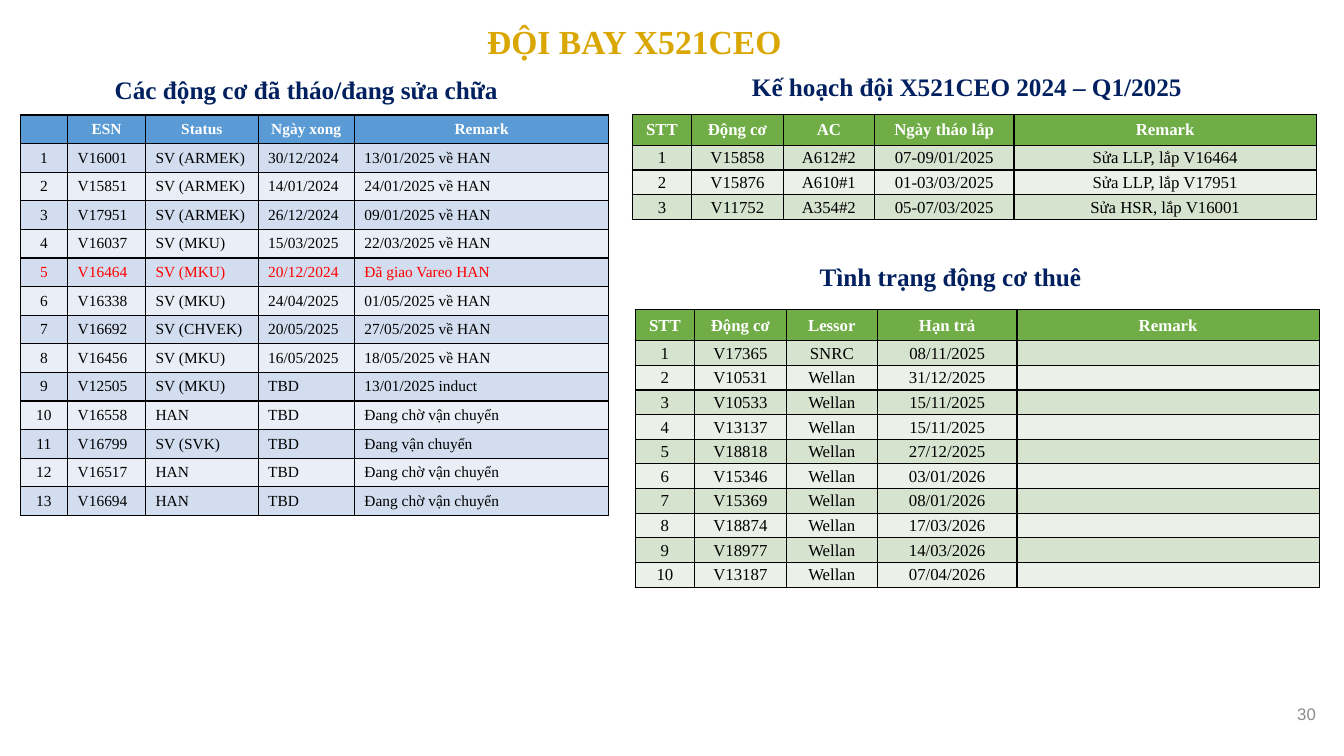
from dataclasses import dataclass

from lxml.etree import SubElement
from pptx import Presentation
from pptx.dml.color import RGBColor
from pptx.enum.text import MSO_ANCHOR as Anchor, MSO_AUTO_SIZE as AutoSize, PP_ALIGN as Align
from pptx.oxml.ns import qn
from pptx.util import Emu, Inches, Pt

SERIF, SANS = "Times New Roman", "Arial"
GOLD, NAVY, GREY = "DAA600", "002060", "8C8C8C"
BLACK, WHITE, RED = "000000", "FFFFFF", "FF0000"
SLIDE_WIDTH, SLIDE_HEIGHT = Inches(13.33), Inches(7.5)


def across(percent: float) -> Emu:
    """Share of the slide's width."""
    return Emu(round(SLIDE_WIDTH * percent / 100))


def down(percent: float) -> Emu:
    """Share of the slide's height."""
    return Emu(round(SLIDE_HEIGHT * percent / 100))


def colour(hex_code: str) -> RGBColor:
    return RGBColor.from_string(hex_code)


@dataclass
class Label:
    text: str
    left: float
    top: float
    width: float
    height: float
    size: int = 18
    ink: str = NAVY
    font: str = SERIF
    bold: bool = True
    align: Align = Align.LEFT
    anchor: Anchor = Anchor.TOP
    wrap: bool = False
    fit: AutoSize = AutoSize.SHAPE_TO_FIT_TEXT
    padding: float = 0.05


@dataclass
class Palette:
    header: str
    odd: str
    even: str


@dataclass
class EngineTable:
    left: float
    top: float
    columns: list[float]
    header_height: float
    row_height: float
    header: list[str]
    engines: list[list[str]]
    palette: Palette
    size: int
    centred: bool = True
    tight: bool = True
    delivered: int = 0


BLUE = Palette("5B9BD5", "D2DEEF", "EAEFF7")
GREEN = Palette("70AD47", "D5E3CF", "EBF1E9")
PLAN_COLUMNS = [4.43, 6.81, 6.8, 10.37, 22.5]

LABELS = [
    Label("30", 92.65, 90.67, 6, 7.6, 12, GREY, SANS, False, Align.RIGHT,
          Anchor.MIDDLE, True, AutoSize.NONE, 0.1),
    Label("ĐỘI BAY X521CEO", 23.56, 2.13, 47.26, 6.67, 24, GOLD,
          align=Align.CENTER, wrap=True),
    Label("Kế hoạch đội X521CEO 2024 – Q1/2025", 55.21, 8.8, 33.68, 5.33),
    Label("Các động cơ đã tháo/đang sửa chữa", 7.8, 9.2, 30.31, 5.33),
    Label("Tình trạng động cơ thuê", 60.24, 33.87, 21.16, 5.33),
]

TABLES = [
    EngineTable(
        1.5, 15.2, [3.53, 5.8, 8.38, 7.16, 18.94], 3.79, 3.79,
        ["", "ESN", "Status", "Ngày xong", "Remark"],
        [
            ["V16001", "SV (ARMEK)", "30/12/2024", "13/01/2025 về HAN"],
            ["V15851", "SV (ARMEK)", "14/01/2024", "24/01/2025 về HAN"],
            ["V17951", "SV (ARMEK)", "26/12/2024", "09/01/2025 về HAN"],
            ["V16037", "SV (MKU)", "15/03/2025", "22/03/2025 về HAN"],
            ["V16464", "SV (MKU)", "20/12/2024", "Đã giao Vareo HAN"],
            ["V16338", "SV (MKU)", "24/04/2025", "01/05/2025 về HAN"],
            ["V16692", "SV (CHVEK)", "20/05/2025", "27/05/2025 về HAN"],
            ["V16456", "SV (MKU)", "16/05/2025", "18/05/2025 về HAN"],
            ["V12505", "SV (MKU)", "TBD", "13/01/2025 induct"],
            ["V16558", "HAN", "TBD", "Đang chờ vận chuyển"],
            ["V16799", "SV (SVK)", "TBD", "Đang vận chuyển"],
            ["V16517", "HAN", "TBD", "Đang chờ vận chuyển"],
            ["V16694", "HAN", "TBD", "Đang chờ vận chuyển"],
        ],
        BLUE, 11, centred=False, tight=False, delivered=5),
    EngineTable(
        47.04, 15.12, PLAN_COLUMNS, 4.1, 3.26,
        ["STT", "Động cơ", "AC", "Ngày tháo lắp", "Remark"],
        [
            ["V15858", "A612#2", "07-09/01/2025", "Sửa LLP, lắp V16464"],
            ["V15876", "A610#1", "01-03/03/2025", "Sửa LLP, lắp V17951"],
            ["V11752", "A354#2", "05-07/03/2025", "Sửa HSR, lắp V16001"],
        ],
        GREEN, 12),
    EngineTable(
        47.26, 40.96, PLAN_COLUMNS, 4.1, 3.26,
        ["STT", "Động cơ", "Lessor", "Hạn trả", "Remark"],
        [
            ["V17365", "SNRC", "08/11/2025", ""],
            ["V10531", "Wellan", "31/12/2025", ""],
            ["V10533", "Wellan", "15/11/2025", ""],
            ["V13137", "Wellan", "15/11/2025", ""],
            ["V18818", "Wellan", "27/12/2025", ""],
            ["V15346", "Wellan", "03/01/2026", ""],
            ["V15369", "Wellan", "08/01/2026", ""],
            ["V18874", "Wellan", "17/03/2026", ""],
            ["V18977", "Wellan", "14/03/2026", ""],
            ["V13187", "Wellan", "07/04/2026", ""],
        ],
        GREEN, 12),
]


def style_text(paragraph, size: int, ink: str, bold: bool, font: str = SERIF) -> None:
    for run in paragraph.runs:
        run.font.size, run.font.bold, run.font.name = Pt(size), bold, font
        run.font.color.rgb = colour(ink)


def draw_label(slide, label: Label) -> None:
    box = slide.shapes.add_textbox(across(label.left), down(label.top),
                                   across(label.width), down(label.height))
    frame = box.text_frame
    frame.text = label.text
    frame.word_wrap, frame.auto_size = label.wrap, label.fit
    frame.vertical_anchor = label.anchor
    frame.margin_top = frame.margin_bottom = Inches(label.padding)
    paragraph = frame.paragraphs[0]
    paragraph.alignment = label.align
    style_text(paragraph, label.size, label.ink, label.bold, label.font)


def border_cell(cell) -> None:
    properties = cell._tc.get_or_add_tcPr()
    for side in ("lnL", "lnR", "lnT", "lnB"):
        line = SubElement(properties, qn(f"a:{side}"), w=str(Pt(1)))
        SubElement(SubElement(line, qn("a:solidFill")), qn("a:srgbClr"), val=BLACK)


def fill_cell(cell, text: str, fill: str, ink: str, bold: bool, align: Align,
              spec_table: EngineTable) -> None:
    border_cell(cell)
    cell.fill.solid()
    cell.fill.fore_color.rgb = colour(fill)
    cell.vertical_anchor = Anchor.MIDDLE
    if spec_table.tight:
        cell.margin_left = cell.margin_right = cell.margin_top = Inches(0.01)
        cell.margin_bottom = 0
    cell.text_frame.text = text
    paragraph = cell.text_frame.paragraphs[0]
    paragraph.alignment = align
    style_text(paragraph, spec_table.size, ink, bold)
    if not text:  # keeps an empty cell from stretching its row
        SubElement(paragraph._p, qn("a:endParaRPr"), sz=str(spec_table.size * 100))


def draw_table(slide, engine_table: EngineTable) -> None:
    palette = engine_table.palette
    numbered = [[str(number), *engine]
                for number, engine in enumerate(engine_table.engines, 1)]
    rows = [engine_table.header, *numbered]
    heights = [engine_table.header_height] + [engine_table.row_height] * len(numbered)
    grid = slide.shapes.add_table(
        len(rows), len(engine_table.columns),
        across(engine_table.left), down(engine_table.top),
        across(sum(engine_table.columns)), down(sum(heights))).table
    grid.horz_banding = False
    for column, width in zip(grid.columns, engine_table.columns):
        column.width = across(width)
    for row_index, (texts, height) in enumerate(zip(rows, heights)):
        grid.rows[row_index].height = down(height)
        is_header = row_index == 0
        if is_header:
            fill, ink = palette.header, WHITE
        else:
            fill = palette.odd if row_index % 2 else palette.even
            ink = RED if row_index == engine_table.delivered else BLACK
        for column_index, text in enumerate(texts):
            centred = is_header or column_index == 0 or engine_table.centred
            fill_cell(grid.cell(row_index, column_index), text, fill, ink, is_header,
                      Align.CENTER if centred else Align.LEFT, engine_table)


def main() -> None:
    deck = Presentation()
    deck.slide_width, deck.slide_height = SLIDE_WIDTH, SLIDE_HEIGHT
    slide = deck.slides.add_slide(deck.slide_layouts[6])
    for label in LABELS:
        draw_label(slide, label)
    for engine_table in TABLES:
        draw_table(slide, engine_table)
    deck.save("out.pptx")


if __name__ == "__main__":
    main()
